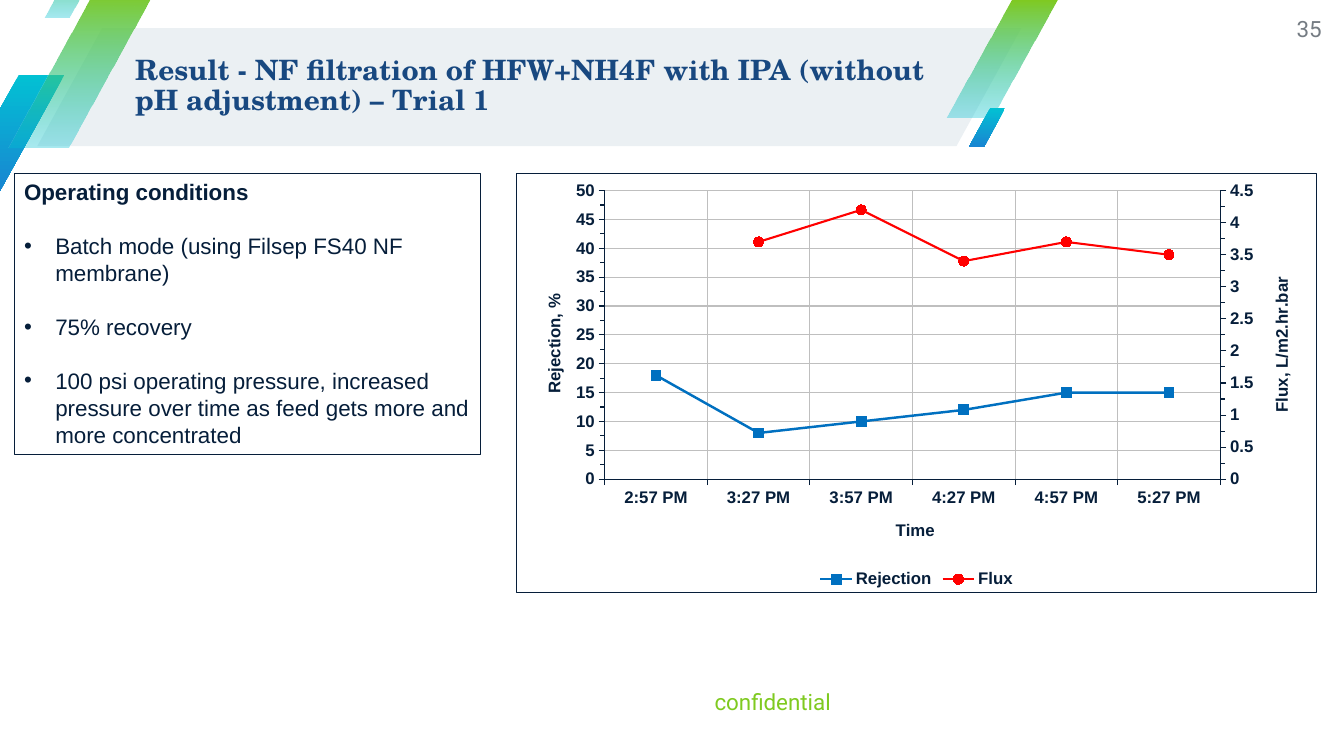
from copy import deepcopy

from lxml import etree
from pptx import Presentation
from pptx.chart.axis import ValueAxis
from pptx.chart.data import CategoryChartData
from pptx.dml.color import RGBColor
from pptx.enum.chart import XL_CHART_TYPE, XL_LEGEND_POSITION, XL_MARKER_STYLE, XL_TICK_MARK
from pptx.enum.shapes import MSO_SHAPE
from pptx.enum.text import MSO_ANCHOR, PP_ALIGN
from pptx.oxml import parse_xml
from pptx.oxml.ns import nsdecls, qn
from pptx.util import Inches, Pt

INK, GRID = "061E3A", "BFBFBF"
LEAF = ("7FCA20", "02C1D3", 34)  # top colour, bottom colour, bottom opacity in %
SEA = ("02C1D3", "1985D2", 100)

# left, top, width, height, slant, gradient
STRIPES = [
    (-0.46, 0.74, 1.1, 1.17, 0.59, SEA),
    (9.39, 0, 1.1, 1.17, 0.59, LEAF),
    (0.08, -0.1, 1.46, 1.56, 0.59, LEAF),
    (0.44, -0.48, 0.61, 0.65, 0.59, LEAF),
    (9.61, 1.07, 0.36, 0.39, 0.59, SEA),
]
TITLE = "Result - NF filtration of HFW+NH4F with IPA (without pH adjustment) – Trial 1"
CONDITIONS_HEADING = "Operating conditions"
CONDITIONS = [
    "Batch mode (using Filsep FS40 NF membrane)",
    "75% recovery",
    "100 psi operating pressure, increased pressure over time as feed gets more and "
    "more concentrated",
]
TIMES = ["2:57 PM", "3:27 PM", "3:57 PM", "4:27 PM", "4:57 PM", "5:27 PM"]
# name, values, colour, line width, marker
SERIES = [
    ("Rejection", [18, 8, 10, 12, 15, 15], "0070C0", 1.75, XL_MARKER_STYLE.SQUARE),
    ("Flux", [None, 3.7, 4.2, 3.4, 3.7, 3.5], "FF0000", 1.5, XL_MARKER_STYLE.CIRCLE),
]
# Places inside the chart, as shares of its size
PLOT_PLACE = (0.11, 0.04, 0.77, 0.69)
TIME_TITLE = ("Time", (0.47, 0.82))
REJECTION_TITLE = ("Rejection, %", (0.03, 0.28))
FLUX_TITLE = ("Flux, L/m2.hr.bar", (0.94, 0.24))


def rgb(colour):
    return RGBColor.from_string(colour)


def style_font(font, size, colour, name, bold=False):
    font.size, font.name, font.bold = Pt(size), name, bold
    font.color.rgb = rgb(colour)


def style_line(line, colour, width=0.75):
    line.color.rgb = rgb(colour)
    line.width = Pt(width)


def add_panel(slide, kind, place):
    panel = slide.shapes.add_shape(kind, *map(Inches, place))
    panel.shadow.inherit = False
    return panel


def add_parallelogram(slide, place, slant):
    shape = add_panel(slide, MSO_SHAPE.PARALLELOGRAM, place)
    shape.adjustments[0] = slant
    shape.line.fill.background()
    return shape


def add_stripe(slide, left, top, width, height, slant, gradient):
    stripe = add_parallelogram(slide, (left, top, width, height), slant)
    *colours, opacity = gradient
    stripe.fill.gradient()
    stripe.fill.gradient_angle = 270
    for position, (stop, colour) in enumerate(zip(stripe.fill.gradient_stops, colours)):
        stop.position = position
        stop.color.rgb = rgb(colour)
    bottom = stripe._element.xpath(".//a:gs/a:srgbClr")[-1]
    etree.SubElement(bottom, qn("a:alpha"), val=str(opacity * 1000))


def add_label(slide, place, text, size, colour, font, bold=False, align=PP_ALIGN.LEFT):
    frame = slide.shapes.add_textbox(*map(Inches, place)).text_frame
    frame.word_wrap = True
    frame.vertical_anchor = MSO_ANCHOR.MIDDLE
    frame.margin_left = frame.margin_right = frame.margin_top = frame.margin_bottom = 0
    frame.text = text
    paragraph = frame.paragraphs[0]
    paragraph.alignment = align
    style_font(paragraph.runs[0].font, size, colour, font, bold)
    return paragraph


def add_conditions(slide, place):
    box = add_panel(slide, MSO_SHAPE.RECTANGLE, place)
    box.fill.background()
    style_line(box.line, INK)
    frame = box.text_frame
    frame.word_wrap = True
    frame.vertical_anchor = MSO_ANCHOR.TOP
    frame.text = "\n".join([CONDITIONS_HEADING, *CONDITIONS])
    for number, paragraph in enumerate(frame.paragraphs):
        paragraph.alignment = PP_ALIGN.LEFT
        if number:
            paragraph.space_before = Pt(19.3)
            properties = paragraph._p.get_or_add_pPr()
            properties.set("marL", str(Inches(0.31)))
            properties.set("indent", str(-Inches(0.31)))
            etree.SubElement(properties, qn("a:buFont"), typeface="Arial")
            etree.SubElement(properties, qn("a:buChar"), char="•")
        style_font(paragraph.runs[0].font, 16, INK, "Arial", bold=number == 0)


def set_layout(parent, index, place, inner=False):
    """Pin a chart part at shares (x, y[, w, h]) of the chart's size."""
    for old in parent.findall(qn("c:layout")):
        parent.remove(old)
    layout = etree.Element(qn("c:layout"))
    manual = etree.SubElement(layout, qn("c:manualLayout"))
    if inner:
        etree.SubElement(manual, qn("c:layoutTarget"), val="inner")
    for tag in ("xMode", "yMode"):
        etree.SubElement(manual, qn("c:" + tag), val="edge")
    for tag, share in zip("xywh", place):
        etree.SubElement(manual, qn("c:" + tag), val=str(share))
    parent.insert(index, layout)


def style_axis(axis, title, upright=False):
    text, place = title
    frame = axis.axis_title.text_frame
    frame.text = text
    style_font(frame.paragraphs[0].runs[0].font, 12, INK, "Arial", True)
    if upright:
        body = frame._txBody.find(qn("a:bodyPr"))
        body.set("rot", "-5400000")
        body.set("vert", "horz")
    set_layout(axis.axis_title._element, 1, place)
    style_font(axis.tick_labels.font, 12, INK, "Arial", True)
    style_line(axis.format.line, INK)
    axis.major_tick_mark = XL_TICK_MARK.OUTSIDE


def style_value_axis(axis, title, maximum, step):
    style_axis(axis, title, upright=True)
    axis.minimum_scale, axis.maximum_scale = 0, maximum
    axis.major_unit, axis.minor_unit = step, step / 2
    axis.minor_tick_mark = XL_TICK_MARK.OUTSIDE
    axis.tick_labels.number_format = "General"
    axis.tick_labels.number_format_is_linked = False


def move_last_series_right(chart):
    """Give the last series its own line group and axes; return the right value axis."""
    left_group = chart._chartSpace.xpath(".//c:lineChart")[0]
    right_group = deepcopy(left_group)
    left_group.remove(left_group.findall(qn("c:ser"))[-1])
    for series in right_group.findall(qn("c:ser"))[:-1]:
        right_group.remove(series)
    left_group.addnext(right_group)

    left_value = chart.value_axis._element
    category, value = deepcopy(chart.category_axis._element), deepcopy(left_value)
    ids = ("50010", "50020")
    for reference, new_id in zip(right_group.findall(qn("c:axId")), ids):
        reference.set("val", new_id)
    for axis, own, other in ((category, *ids), (value, *reversed(ids))):
        axis.find(qn("c:axId")).set("val", own)
        axis.find(qn("c:crossAx")).set("val", other)
    category.find(qn("c:delete")).set("val", "1")
    value.find(qn("c:axPos")).set("val", "r")
    value.find(qn("c:crosses")).set("val", "max")
    left_value.addnext(value)
    value.addnext(category)
    return ValueAxis(value)


def add_trial_chart(slide, place):
    data = CategoryChartData()
    data.categories = TIMES
    for name, values, *_ in SERIES:
        data.add_series(name, values)
    chart = slide.shapes.add_chart(XL_CHART_TYPE.LINE_MARKERS, *map(Inches, place), data).chart
    style_font(chart.font, 12, INK, "Arial", True)
    chart.has_title = False
    chart.has_legend = True
    chart.legend.position = XL_LEGEND_POSITION.BOTTOM
    chart.legend.include_in_layout = False
    style_font(chart.legend.font, 12, INK, "Arial", True)

    chart.plots[0].vary_by_categories = False
    for series, (_, _, colour, width, marker) in zip(chart.plots[0].series, SERIES):
        series.smooth = False
        style_line(series.format.line, colour, width)
        series.marker.style, series.marker.size = marker, 7
        series.marker.format.fill.solid()
        series.marker.format.fill.fore_color.rgb = rgb(colour)
        style_line(series.marker.format.line, colour)

    time_axis, rejection_axis = chart.category_axis, chart.value_axis
    rejection_axis.has_major_gridlines = False
    flux_axis = move_last_series_right(chart)
    style_value_axis(rejection_axis, REJECTION_TITLE, 50, 5)
    style_value_axis(flux_axis, FLUX_TITLE, 4.5, 0.5)
    style_axis(time_axis, TIME_TITLE)
    for axis in (time_axis, rejection_axis):
        axis.has_major_gridlines = True
        style_line(axis.major_gridlines.format.line, GRID)
    set_layout(chart._chartSpace.xpath(".//c:plotArea")[0], 0, PLOT_PLACE, inner=True)
    chart._chartSpace.find(qn("c:txPr")).addprevious(parse_xml(
        f'<c:spPr {nsdecls("c", "a")}><a:noFill/><a:ln w="{Pt(0.75)}"><a:solidFill>'
        f'<a:srgbClr val="{INK}"/></a:solidFill></a:ln></c:spPr>'))


def main():
    deck = Presentation()
    deck.slide_width, deck.slide_height = Inches(13.33), Inches(7.5)
    slide = deck.slides.add_slide(deck.slide_layouts[6])
    banner = add_parallelogram(slide, (0.37, 0.28, 9.76, 1.17), 0.55)
    banner.fill.solid()
    banner.fill.fore_color.rgb = rgb("EBF0F3")
    for stripe in STRIPES:
        add_stripe(slide, *stripe)
    add_label(slide, (4.67, 6.67, 3.57, 0.57), "confidential", 16, "7FCA20", "Roboto",
              align=PP_ALIGN.RIGHT)
    title = add_label(slide, (1.34, 0.26, 8.23, 1.19), TITLE, 20, "184880",
                      "TeX Gyre Schola", bold=True)
    title.line_spacing = 0.9
    add_label(slide, (12.48, 0, 0.63, 0.57), "35", 16, "757C83", "Roboto", align=PP_ALIGN.RIGHT)
    add_conditions(slide, (0.14, 1.72, 4.63, 2.79))
    add_trial_chart(slide, (5.12, 1.72, 7.94, 4.16))
    deck.save("out.pptx")


if __name__ == "__main__":
    main()
